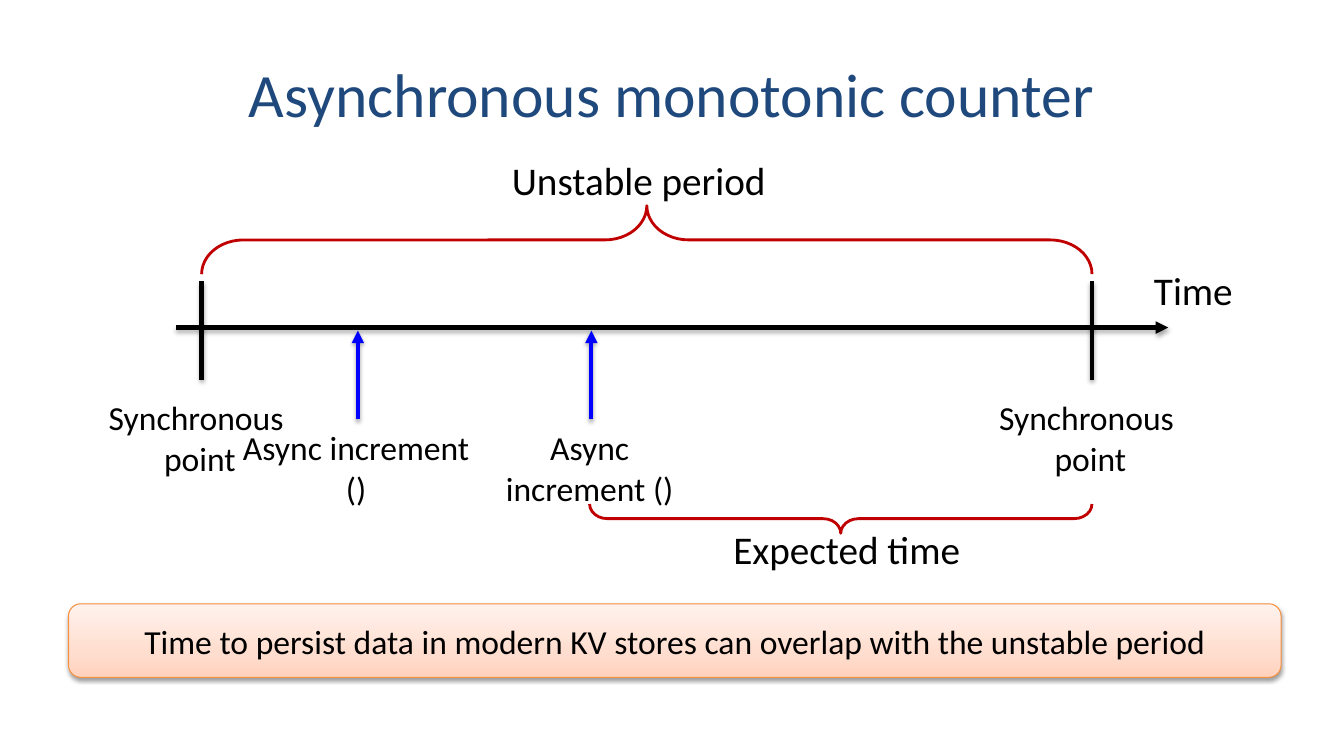
"""Build the asynchronous monotonic counter timeline slide."""
from lxml.etree import SubElement
from pptx import Presentation
from pptx.dml.color import RGBColor
from pptx.enum.shapes import MSO_CONNECTOR, MSO_SHAPE
from pptx.enum.text import MSO_ANCHOR, MSO_AUTO_SIZE, PP_ALIGN
from pptx.oxml import parse_xml
from pptx.oxml.ns import nsdecls, qn
from pptx.util import Inches, Pt

COLS, ROWS = 80, 45
NAVY = RGBColor(0x1F, 0x49, 0x7D)
BLACK = RGBColor(0x00, 0x00, 0x00)
BLUE = RGBColor(0x00, 0x00, 0xFF)
RED = RGBColor(0xC0, 0x00, 0x00)
ORANGE = RGBColor(0xF6, 0x92, 0x40)
PEACH = RGBColor(0xFF, 0xD2, 0xBD)
LIGHT_PEACH = RGBColor(0xFF, 0xDE, 0xD0)
PALE_PEACH = RGBColor(0xFF, 0xF2, 0xED)
SYNC_COLS = (12, 65)
AXIS_ROW = 19.5


def grid(*units):
    """Turn columns or rows of the slide grid into lengths."""
    return [Inches(u / 6) for u in units]


def write(tf, text, size, color=BLACK, align=PP_ALIGN.CENTER):
    """Fill a text frame, one paragraph a line."""
    tf.word_wrap = True
    tf.text = text
    for p in tf.paragraphs:
        p.alignment = align
        p.font.name = "Calibri"
        p.font.size = Pt(size)
        p.font.color.rgb = color


def add_label(s, text, center, top, width, height, size, align=PP_ALIGN.CENTER):
    """Add a text box centred on a column."""
    box = s.shapes.add_textbox(*grid(center - width / 2, top, width, height))
    write(box.text_frame, text, size, align=align)
    box.text_frame.auto_size = MSO_AUTO_SIZE.SHAPE_TO_FIT_TEXT


def add_shadow(effects, distance, alpha):
    """Put a soft downward shadow in an effect list."""
    shadow = SubElement(effects, qn("a:outerShdw"), blurRad=str(Pt(3.1)),
                        dist=str(Pt(distance)), dir="5400000", rotWithShape="0")
    color = SubElement(shadow, qn("a:srgbClr"), val=str(BLACK))
    SubElement(color, qn("a:alpha"), val=str(alpha * 1000))


def add_line(s, x1, y1, x2, y2, color=BLACK, arrow=False):
    """Add a shadowed line, with an arrowhead at its end if asked."""
    line = s.shapes.add_connector(MSO_CONNECTOR.STRAIGHT, *grid(x1, y1, x2, y2))
    line.line.color.rgb = color
    line.line.width = Pt(3)
    sp_pr = line._element.spPr
    if arrow:
        SubElement(sp_pr.find(qn("a:ln")), qn("a:tailEnd"), type="triangle")
    add_shadow(SubElement(sp_pr, qn("a:effectLst")), 1.8, 35)


def add_brace(s, left, right, top, depth, rotation):
    """Add a brace lying along the time axis."""
    span = right - left
    x = (left + right - depth) / 2
    y = top + (depth - span) / 2
    brace = s.shapes.add_shape(MSO_SHAPE.LEFT_BRACE, *grid(x, y, depth, span))
    brace.rotation = rotation
    brace.adjustments[0] = 0.61
    brace.shadow.inherit = False
    brace.fill.background()
    brace.line.color.rgb = RED
    brace.line.width = Pt(2)


def add_banner(s, text, left, top, width, height):
    """Add the rounded conclusion bar with its gradient."""
    sp = s.shapes.add_shape(MSO_SHAPE.ROUNDED_RECTANGLE, *grid(left, top, width, height))
    stops = "".join(
        f'<a:gs pos="{share * 1000}"><a:srgbClr val="{color}"/></a:gs>'
        for share, color in ((0, PEACH), (35, LIGHT_PEACH), (100, PALE_PEACH)))
    gradient = parse_xml(
        f'<a:gradFill {nsdecls("a")} rotWithShape="1"><a:gsLst>{stops}</a:gsLst>'
        '<a:lin ang="16200000" scaled="1"/></a:gradFill>')
    sp_pr = sp._element.spPr
    sp_pr.find(qn("a:prstGeom")).addnext(gradient)
    sp.line.color.rgb = ORANGE
    sp.line.width = Pt(0.75)
    sp.shadow.inherit = False
    add_shadow(sp_pr.find(qn("a:effectLst")), 1.6, 38)
    write(sp.text_frame, text, 24)
    sp.text_frame.vertical_anchor = MSO_ANCHOR.MIDDLE


def add_title(s, text):
    """Place and format the title."""
    title = s.shapes.title
    title.left, title.top, title.width, title.height = grid(4, 1.8, 72, 7.5)
    write(title.text_frame, text, 44, NAVY)
    title.text_frame.vertical_anchor = MSO_ANCHOR.MIDDLE


def main():
    """Build and save the slide."""
    prs = Presentation()
    prs.slide_width, prs.slide_height = grid(COLS, ROWS)
    s = prs.slides.add_slide(prs.slide_layouts[5])
    add_title(s, "Asynchronous monotonic counter")

    add_line(s, 10.5, AXIS_ROW, 69.54, AXIS_ROW, arrow=True)
    add_label(s, "Time ", 71.3, 15.54, 7.56, 3.42, 28)
    for col in SYNC_COLS:
        add_line(s, col, 16.74, col, 22.62)
        add_label(s, "Synchronous \npoint", col - 0.1, 23.34, 14, 5.46, 24)

    add_brace(s, *SYNC_COLS, 12.24, 4.08, 90)
    add_label(s, "Unstable period", 38.67, 9, 17.58, 3.42, 28, PP_ALIGN.LEFT)

    for col, width in ((21.3, 15.4), (35.2, 12.2)):
        add_line(s, col, 24.96, col, AXIS_ROW + 0.18, BLUE, arrow=True)
        add_label(s, "Async increment ()", col - 0.1, 25.14, width, 4.7, 24)

    add_brace(s, 35.1, SYNC_COLS[1], 30, 1.74, 270)
    add_label(s, "Expected time", 50.4, 30.96, 16.2, 3.42, 28)

    add_banner(s, "Time to persist data in modern KV stores can overlap with the unstable period",
               4.08, 35.94, 72.18, 4.38)
    prs.save("out.pptx")


if __name__ == "__main__":
    main()
